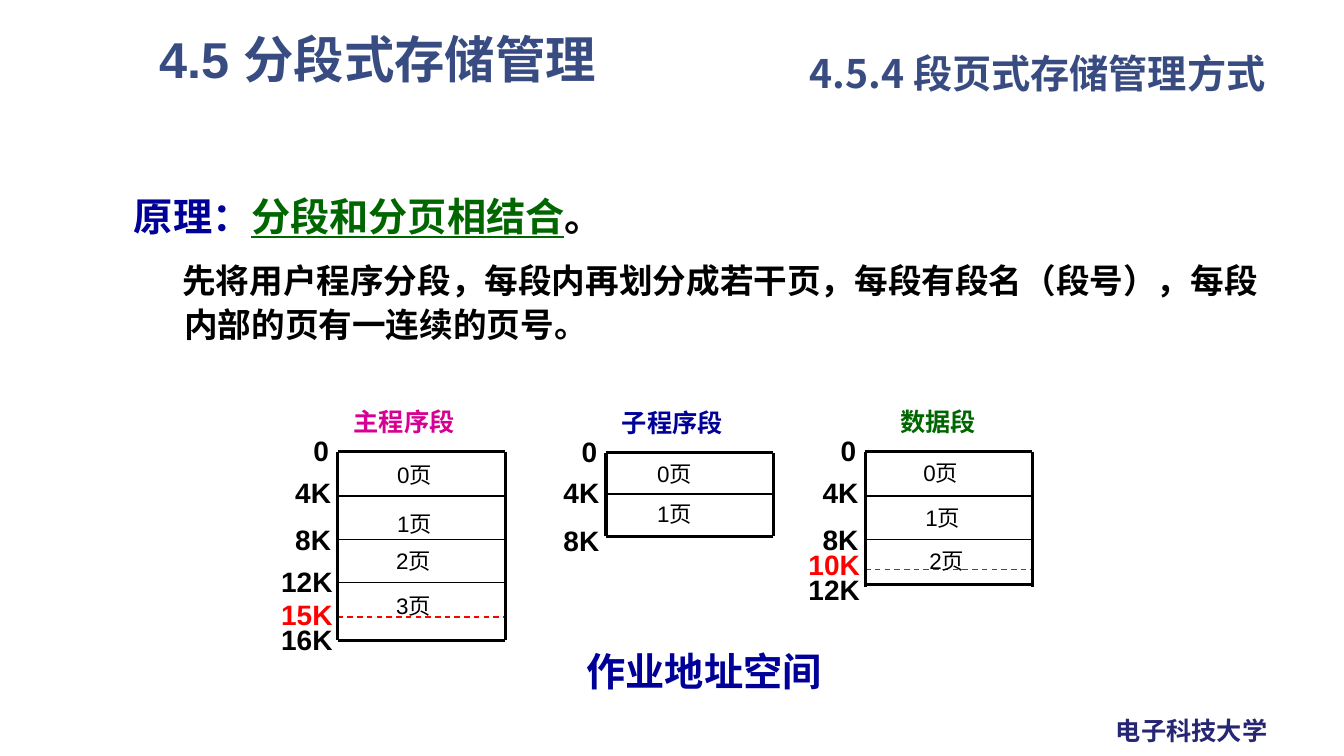
from dataclasses import dataclass

from lxml.etree import SubElement
from pptx import Presentation
from pptx.dml.color import RGBColor
from pptx.enum.dml import MSO_LINE_DASH_STYLE as Dash
from pptx.enum.shapes import MSO_CONNECTOR as Conn
from pptx.enum.text import MSO_ANCHOR as Anchor
from pptx.oxml.ns import qn
from pptx.util import Inches, Pt

HUE = {"black": "000000", "red": "FF0000", "blue": "000099", "green": "006600",
       "pink": "D60093", "slate": "384C81", "navy": "262673"}
CJK = "Noto Sans CJK SC"


@dataclass
class Rule:
    y: float
    width: float = 1
    hue: str = "black"
    dash: bool = False


@dataclass
class Mark:
    text: str
    top: float
    hue: str = "black"


@dataclass
class Page:
    left: float
    top: float


@dataclass
class Part:
    name: str
    hue: str
    shift: float  # from the frame to the name
    left: float
    top: float
    foot: float
    rules: list[Rule]
    marks: list[Mark]
    pages: list[Page]


PARTS = [
    Part("主程序段", "pink", 0.06, 3.35, 4.48, 6.35,
         [Rule(4.48, 2.25), Rule(4.92), Rule(5.35), Rule(5.78),
          Rule(6.12, 1, "red", True), Rule(6.35, 2.25)],
         [Mark("0", 4.25), Mark("4K", 4.67), Mark("8K", 5.13), Mark("12K", 5.55),
          Mark("15K", 5.88, "red"), Mark("16K", 6.13)],
         [Page(3.84, 4.53), Page(3.84, 5.01), Page(3.83, 5.38), Page(3.83, 5.83)]),
    Part("子程序段", "blue", 0.06, 6.01, 4.49, 5.32,
         [Rule(4.49, 2.25), Rule(4.9), Rule(5.32, 2.25)],
         [Mark("0", 4.26), Mark("4K", 4.67), Mark("8K", 5.14)],
         [Page(6.42, 4.52), Page(6.42, 4.91)]),
    Part("数据段", "green", 0.25, 8.58, 4.48, 5.82,
         [Rule(4.48, 2.25), Rule(4.92), Rule(5.35), Rule(5.8, 2.25),
          Rule(5.65, 1, "red", True)],
         [Mark("0", 4.25), Mark("4K", 4.67), Mark("8K", 5.13), Mark("12K", 5.63),
          Mark("10K", 5.38, "red")],
         [Page(9.06, 4.51), Page(9.08, 4.95), Page(9.12, 5.38)]),
]
SPAN = 1.66  # frame width
# Left offset and width of an address by its number of characters
SIZES = {1: (-0.34, 0.5), 2: (-0.52, 0.63), 3: (-0.66, 0.78)}

deck = Presentation()
deck.slide_width, deck.slide_height = Inches(13.33), Inches(7.5)
slide = deck.slides.add_slide(deck.slide_layouts[6])


def style(run, size: float, hue: str, bold: bool = True, face: str = "Arial") -> None:
    font = run.font
    font.size, font.bold, font.name = Pt(size), bold, face
    font.color.rgb = RGBColor.from_string(HUE[hue])
    SubElement(font._element, qn("a:ea")).set("typeface", CJK)


def frame(left: float, top: float, width: float, height: float, wrap: bool = True):
    box = slide.shapes.add_textbox(*map(Inches, (left, top, width, height)))
    box.text_frame.word_wrap = wrap
    return box.text_frame


def label(text: str, area: tuple, size: float, hue: str, bold: bool = True,
          face: str = "Arial", space: float = 1, wrap: bool = True):
    body = frame(*area, wrap)
    body.text = text
    para = body.paragraphs[0]
    para.line_spacing = space
    style(para.runs[0], size, hue, bold, face)
    return body


def line(x1: float, y1: float, x2: float, y2: float, rule: Rule) -> None:
    wire = slide.shapes.add_connector(Conn.STRAIGHT, *map(Inches, (x1, y1, x2, y2)))
    wire.line.width = Pt(rule.width)
    wire.line.color.rgb = RGBColor.from_string(HUE[rule.hue])
    if rule.dash:
        wire.line.dash_style = Dash.DASH
    SubElement(wire._element.spPr, qn("a:effectLst"))


def draw(part: Part) -> None:
    right = part.left + SPAN
    for rule in part.rules:
        line(part.left, rule.y, right, rule.y, rule)
    for x in (part.left, right):
        line(x, part.top, x, part.foot, Rule(0, 2.25))
    for mark in part.marks:
        shift, width = SIZES[len(mark.text)]
        label(mark.text, (part.left + shift, mark.top, width, 0.44), 20, mark.hue)
    label(part.name, (part.left + part.shift, part.top - 0.5, 1.58, 0.41), 18, part.hue)
    for num, page in enumerate(part.pages):
        label(f"{num}页", (page.left, page.top, 0.72, 0.37), 16, "black", False)


# Headings and footer
label("电子科技大学", (10.97, 7.05, 1.72, 0.4), 18, "navy", wrap=False)
label("4.5.4 段页式存储管理方式", (7.93, 0.45, 5.1, 0.61), 28, "slate",
      face=CJK, space=0.9).vertical_anchor = Anchor.MIDDLE
label("4.5 分段式存储管理", (1.48, 0.3, 4.91, 0.92), 36, "slate", space=0.9)

# Principle
body = frame(1.23, 1.81, 11.44, 2.02)
lead = body.paragraphs[0]
lead.line_spacing = 1.1
for text, hue in (("原理：", "blue"), ("分段和分页相结合", "green"), ("。", "black")):
    run = lead.add_run()
    run.text = text
    style(run, 28, hue)
    run.font.underline = hue == "green"
note = body.add_paragraph()
note.text = "先将用户程序分段，每段内再划分成若干页，每段有段名（段号），每段内部的页有一连续的页号。"
note.line_spacing, note.space_before = 1.1, Pt(12)
style(note.runs[0], 24, "black")
props = note._p.get_or_add_pPr()
props.set("marL", str(Inches(0.5)))
props.set("indent", str(Inches(-0.02)))

# Address space
for part in PARTS:
    draw(part)
label("作业地址空间", (5.72, 6.37, 3.01, 0.57), 28, "blue", face=CJK)

deck.save("out.pptx")
